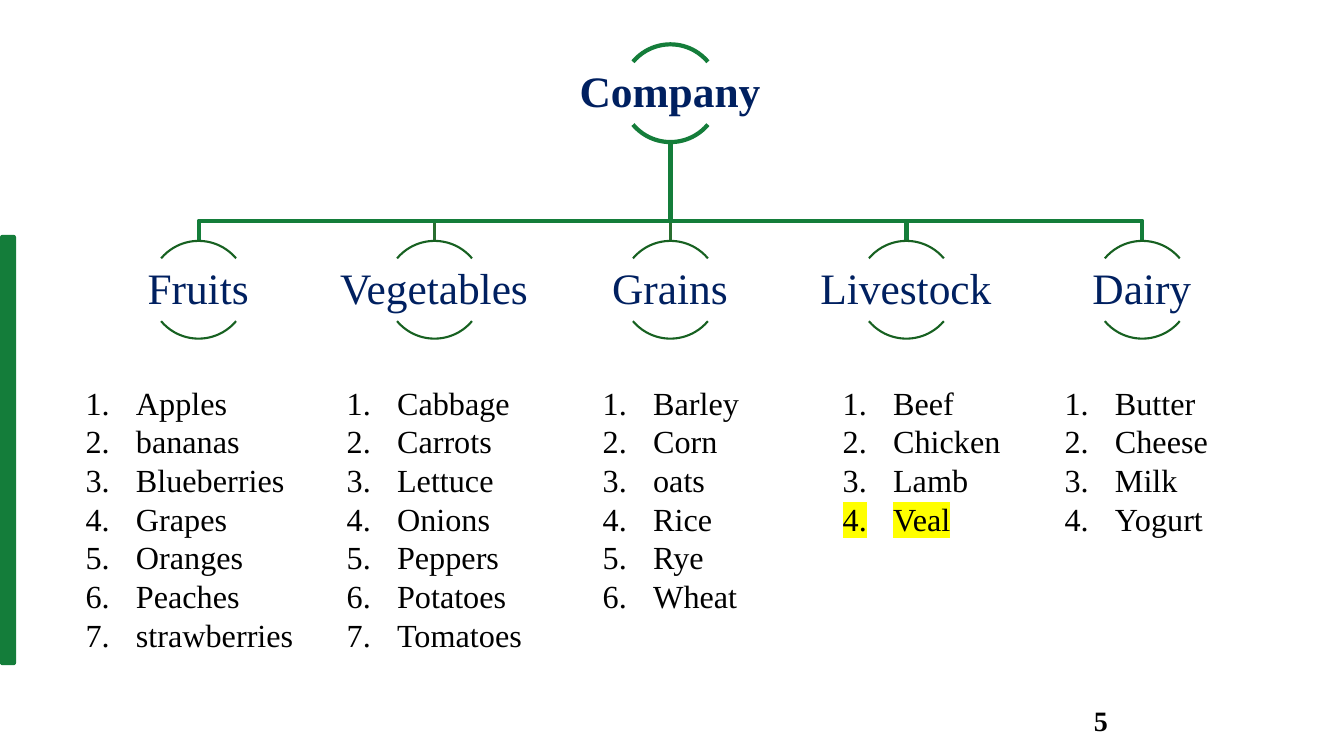
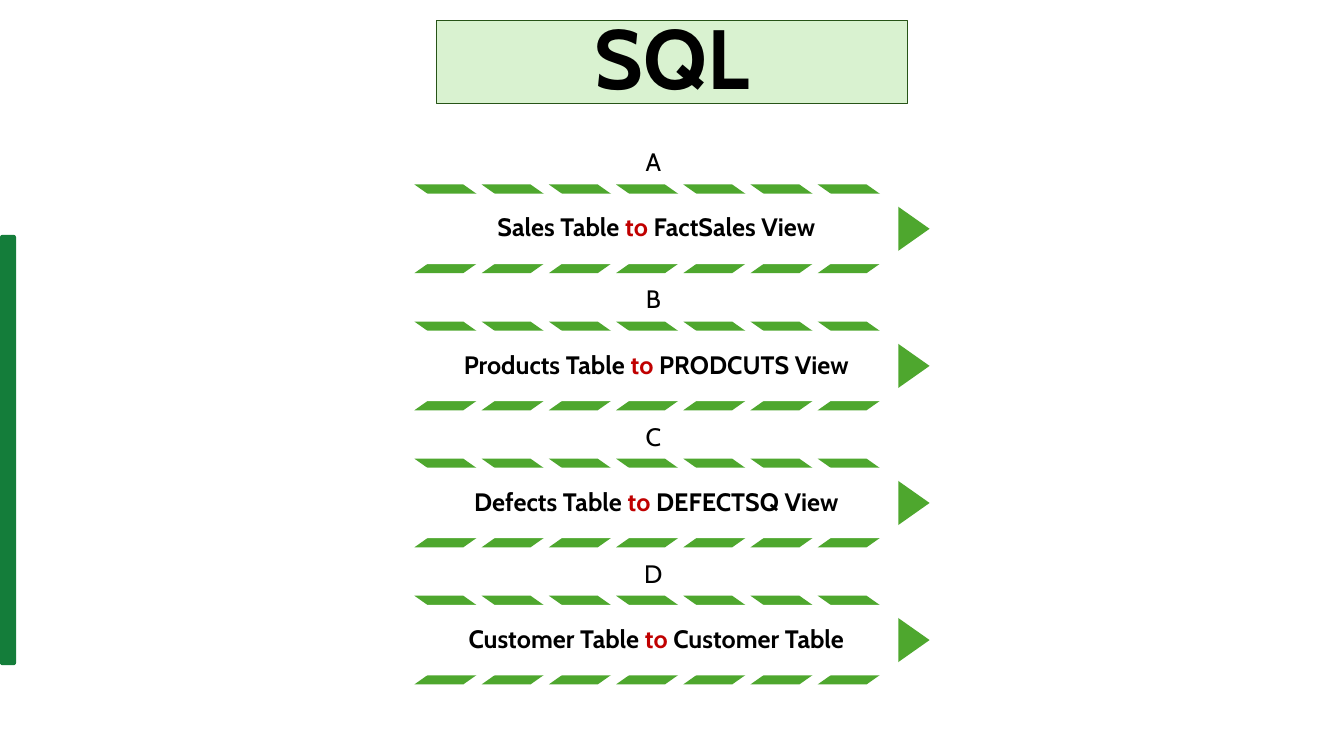
from lxml import etree
from pptx import Presentation
from pptx.dml.color import RGBColor
from pptx.enum.shapes import MSO_CONNECTOR, MSO_SHAPE
from pptx.enum.text import MSO_ANCHOR, PP_ALIGN
from pptx.oxml.ns import qn
from pptx.util import Inches, Pt

ARC, CHEVRON = MSO_SHAPE.ARC, MSO_SHAPE.CHEVRON
RECT, ROUND = MSO_SHAPE.RECTANGLE, MSO_SHAPE.ROUNDED_RECTANGLE
STRAIGHT = MSO_CONNECTOR.STRAIGHT
TOP, MIDDLE, BOTTOM = MSO_ANCHOR.TOP, MSO_ANCHOR.MIDDLE, MSO_ANCHOR.BOTTOM
CENTER, JUSTIFY = PP_ALIGN.CENTER, PP_ALIGN.JUSTIFY

SERIF, SANS = "Times New Roman", "Cabin"
GREEN, DARK, STEM, LEAF = "147D3A", "176121", "296E30", "4EA72E"
PALE, EDGE, NAVY, RED = "D9F2D0", "275417", "002060", "C00000"
BLACK, WHITE, YELLOW = "000000", "FFFFFF", "FFFF00"

# Name, left edge of the list, items, connector colour and width
GROUPS = [
    ("Fruits", 0.75, ["Apples", "bananas", "Blueberries", "Grapes",
                      "Oranges", "Peaches", "strawberries"], GREEN, 3),
    ("Vegetables", 3.34, ["Cabbage", "Carrots", "Lettuce", "Onions",
                          "Peppers", "Potatoes", "Tomatoes"], STEM, 1.5),
    ("Grains", 5.88, ["Barley", "Corn", "oats", "Rice", "Rye", "Wheat"],
     STEM, 1.5),
    ("Livestock", 8.26, ["Beef", "Chicken", "Lamb", "Veal"], GREEN, 3),
    ("Dairy", 10.46, ["Butter", "Cheese", "Milk", "Yogurt"], GREEN, 3),
]
MARKED = "Veal"
STEPS = [
    ("A", "Sales Table ", " FactSales View"),
    ("B", "Products Table ", " PRODCUTS View"),
    ("C", "Defects Table ", " DEFECTSQ View"),
    ("D", "Customer Table ", " Customer Table"),
]


def rgb(code):
    return RGBColor.from_string(code)


def style(shape, fill=None, line=None, width=1):
    shape.shadow.inherit = False
    if fill:
        shape.fill.solid()
        shape.fill.fore_color.rgb = rgb(fill)
    else:
        shape.fill.background()
    if line:
        shape.line.color.rgb = rgb(line)
        shape.line.width = Pt(width)
    else:
        shape.line.fill.background()
    return shape


def draw(slide, kind, box, adjust=(), **look):
    shape = slide.shapes.add_shape(kind, *map(Inches, box))
    for index, value in enumerate(adjust):
        shape.adjustments[index] = value
    return style(shape, **look)


def mark(run):
    """Highlight a run whose colour is already set."""
    light = etree.Element(qn("a:highlight"))
    etree.SubElement(light, qn("a:srgbClr")).set("val", YELLOW)
    run.font._element.find(qn("a:solidFill")).addnext(light)


def number(par):
    props = par._p.get_or_add_pPr()
    props.set("marL", str(Inches(0.5)))
    props.set("indent", str(-Inches(0.5)))
    etree.SubElement(props, qn("a:buAutoNum")).set("type", "arabicPeriod")


def write(shape, lines, size=18, font=SANS, color=BLACK, bold=False,
          align=CENTER, anchor=MIDDLE, space=0.9, inset=None, numbered=False):
    """Fill a shape; a line is a string or a list of (text, colour) runs."""
    frame = shape.text_frame
    frame.word_wrap = True
    frame.vertical_anchor = anchor
    if inset is not None:
        frame.margin_left = frame.margin_right = Inches(inset)
        frame.margin_top = frame.margin_bottom = Inches(inset)
    for index, line in enumerate(lines):
        par = frame.add_paragraph() if index else frame.paragraphs[0]
        if numbered:
            number(par)
        par.alignment = align
        par.line_spacing = space
        for text, tint in [(line, color)] if isinstance(line, str) else line:
            run = par.add_run()
            run.text = text
            run.font.size = Pt(size)
            run.font.name = font
            run.font.bold = bold
            run.font.color.rgb = rgb(tint)
            if text == MARKED:
                mark(run)


def label(slide, lines, box, **look):
    write(slide.shapes.add_textbox(*map(Inches, box)), lines, **look)


def add_band(prs, slide):
    """Draw the side band and move it to the master, for all slides."""
    band = draw(slide, ROUND, (0, 2.33, 0.16, 4.27), fill=GREEN)
    prs.slide_master.shapes._spTree.append(band._element)


def node(slide, text, mid, top, color=DARK, width=1.5, bold=False):
    """A name between two arcs of one circle."""
    side = 0.97
    for start, end in ((220, 320), (40, 140)):
        # Arc adjustments count 0.6 to a degree
        draw(slide, ARC, (mid - side / 2, top, side, side),
             (start * 0.6, end * 0.6), line=color, width=width)
    label(slide, [text], (mid - 0.97, top + 0.18, 1.93, 0.62), size=31,
          font=SERIF, color=NAVY, bold=bold, inset=0.02)


def branch(slide, start, end, color, width):
    """Join two points, with a bend when they are not in one column."""
    (x1, y1), (x2, y2) = start, end
    if x1 == x2:
        line = slide.shapes.add_connector(
            STRAIGHT, *map(Inches, (x1, y1, x2, y2)))
        line.line.color.rgb = rgb(color)
        line.line.width = Pt(width)
        etree.SubElement(line._element.spPr, qn("a:effectLst"))
        return
    bend = y2 - 0.2
    path = slide.shapes.build_freeform(Inches(x1), Inches(y1))
    path.add_line_segments(
        [(Inches(x), Inches(y)) for x, y in ((x1, bend), (x2, bend), end)],
        close=False)
    style(path.convert_to_shape(), line=color, width=width)


def tree(slide, mid, top):
    """The company and its groups, centred on mid."""
    row, gap = top + 1.95, 2.34
    mids = [mid + gap * (i - len(GROUPS) // 2) for i in range(len(GROUPS))]
    for x, (*_, color, width) in reversed(list(zip(mids, GROUPS))):
        branch(slide, (mid, top + 0.96), (x, row), color, width)
    node(slide, "Company", mid, top, GREEN, 3, True)
    for x, (name, left, items, *_) in zip(mids, GROUPS):
        node(slide, name, x, row)
        label(slide, items, (left, row + 1.36, 2.33, 0.1 + 0.39 * len(items)),
              size=23, font=SERIF, align=JUSTIFY, anchor=TOP,
              space=Pt(27.6), numbered=True)


def step(slide, left, top, letter, source, target):
    """A letter above a row of chevrons that a white panel covers."""
    label(slide, [letter], (left, top, 4.74, 0.43), anchor=BOTTOM, inset=0.07)
    for i in range(7):
        draw(slide, CHEVRON, (left + i * 2 / 3, top + 0.43, 1.11, 0.88),
             [0.71], fill=LEAF)
    panel = draw(slide, RECT, (left, top + 0.52, 4.8, 0.7), fill=WHITE)
    write(panel, [[(source, BLACK), ("to", RED), (target, BLACK)]],
          bold=True, inset=0.05)


def main():
    prs = Presentation()
    prs.slide_width, prs.slide_height = Inches(13.33), Inches(7.5)
    blank = prs.slide_layouts[6]

    chart = prs.slides.add_slide(blank)
    add_band(prs, chart)
    tree(chart, 6.65, 0.44)
    label(chart, ["5"], (9.42, 6.95, 3, 0.4), size=20, font=SERIF, bold=True,
          space=1.0)

    views = prs.slides.add_slide(blank)
    title = draw(views, RECT, (4.33, 0.2, 4.67, 0.83), fill=PALE, line=EDGE,
                 width=0.75)
    write(title, ["SQL"], size=60, bold=True)
    for i, texts in enumerate(STEPS):
        step(views, 4.11, 1.4 + 1.36 * i, *texts)

    prs.save("out.pptx")


if __name__ == "__main__":
    main()
